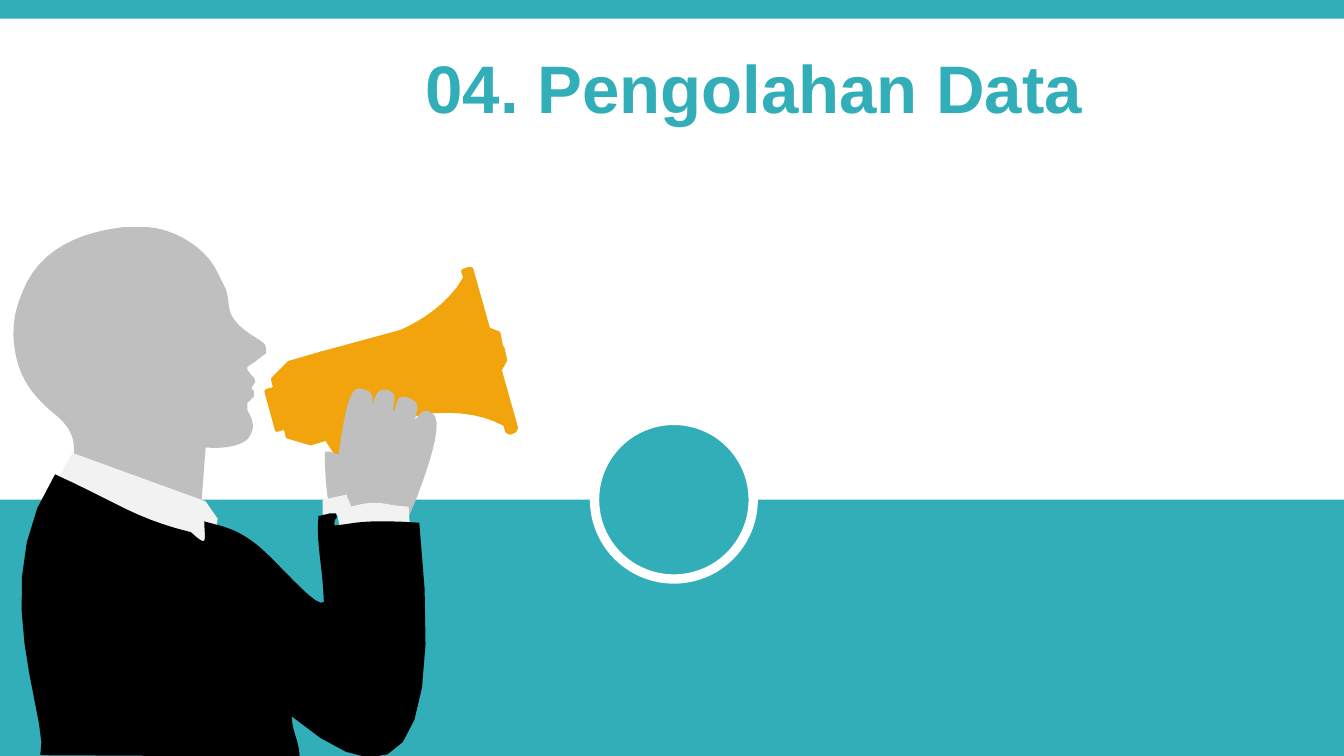
from pptx import Presentation
from pptx.dml.color import RGBColor
from pptx.enum import shapes, text
from pptx.util import Pt

TEAL = RGBColor(0x32, 0xAE, 0xB8)
WHITE = RGBColor(0xFF, 0xFF, 0xFF)
GOLD = RGBColor(0xF2, 0xA4, 0x0D)
SKIN = RGBColor(0xBF, 0xBF, 0xBF)
SHIRT = RGBColor(0xF2, 0xF2, 0xF2)
BLACK = RGBColor(0, 0, 0)

SLIDE_WIDTH, SLIDE_HEIGHT = Pt(720), Pt(405)
ART_HEIGHT = 562.5  # height of the drawing grid used by the outlines below
CURVE_STEPS = 10

# Outlines: the first point starts the path, L leads lines and C leads curves.
MEGAPHONE = [
    "293,348 L 290,349 C 289,350 287,350 286,349 L 278,336 C 277,335 278,333 279,333 "
    "L 282,331 C 283,330 284,330 285,332 L 293,344 C 294,345 294,347 293,348",
    "361,244 L 364,260 364,261 365,261 371,277 376,268 374,259 373,258 371,248",
    "303,378 L 289,387 C 287,389 283,388 281,385 L 236,316 C 234,313 235,309 238,308 "
    "L 252,299 C 254,297 258,298 260,300 L 305,370 C 307,373 306,376 303,378",
    "298,247 L 239,263 247,292 247,294 255,323 315,307 C 315,307 350,301 376,316 "
    "L 361,263 361,261 346,207 C 331,234 298,247 298,247",
    "382,321 L 380,322 C 379,322 377,321 377,320 L 345,203 C 344,202 345,201 346,201 "
    "L 349,200 C 350,200 351,200 351,201 L 384,318 C 384,319 383,321 382,321",
    "198,291 L 212,287 220,316 206,320",
    "215,270 L 203,282 208,304 209,304 214,325 231,330 255,323 247,294 247,293 239,263",
]
HAND = (
    "256,382 C 255,377 256,377 255,374 251,372 252,373 244,371 243,367 241,341 242,336 "
    "249,336 245,337 252,338 255,317 259,288 267,289 276,290 278,293 277,301 "
    "280,294 280,289 288,290 299,293 290,305 293,306 296,299 295,293 304,296 "
    "315,300 309,307 309,312 313,309 313,303 321,307 333,312 314,359 311,368 "
    "306,380 303,388 297,398 283,392 277,389 256,382"
)
HEAD = (
    "85,170 L 92,169 110,169 C 134,171 154,187 161,201 L 168,215 "
    "C 171,224 169,229 173,236 179,245 187,249 193,253 "
    "L 197,256 198,259 198,263 195,265 190,269 184,273 184,275 187,279 189,281 190,284 "
    "187,289 189,291 189,295 187,297 184,300 184,305 186,309 "
    "C 190,317 188,322 184,327 178,332 167,334 153,333 L 150,373 55,344 55,331 "
    "C 54,320 46,312 38,306 28,297 21,289 16,278 11,266 10,254 10,248 "
    "10,232 15,221 20,210 33,185 59,174 85,170"
)
COLLAR = "41,360 L 54,337 153,373 162,386 160,398 153,393 152,405 C 111,393 78,374 41,360"
CUFF = (
    "240,383 L 240,372 258,368 C 258,371 261,374 261,377 284,371 283,376 304,377 "
    "L 305,392 C 288,390 270,393 253,393 L 251,383"
)
JACKET = (
    "41,353 C -13,435 38,537 30,562 L 223,563 C 222,549 218,547 217,533 "
    "292,596 331,569 312,389 267,386 264,390 249,391 248,384 252,388 250,382 "
    "242,382 248,382 237,384 235,404 240,420 241,448 235,454 203,413 188,403 "
    "173,392 162,391 152,388 152,401 156,409 142,396 101,386 89,375 41,353"
)


def curve_points(start, first, second, end):
    """Points along a cubic curve, without its start."""
    for step in range(1, CURVE_STEPS + 1):
        t = step / CURVE_STEPS
        weights = ((1 - t) ** 3, 3 * t * (1 - t) ** 2, 3 * t * t * (1 - t), t ** 3)
        yield tuple(
            sum(weight * value for weight, value in zip(weights, values))
            for values in zip(start, first, second, end)
        )


def outline_points(outline):
    points, controls, command = [], [], "L"
    for token in outline.split():
        if token in ("L", "C"):
            command = token
            continue
        point = tuple(float(value) for value in token.split(","))
        if command == "L":
            points.append(point)
            continue
        controls.append(point)
        if len(controls) == 3:
            points.extend(curve_points(points[-1], *controls))
            controls = []
    return points


def style(shape, fill, line=None, line_width=0):
    shape.shadow.inherit = False
    shape.fill.solid()
    shape.fill.fore_color.rgb = fill
    if line is None:
        shape.line.fill.background()
    else:
        shape.line.color.rgb = line
        shape.line.width = Pt(line_width)


def add_outline(group, outline, left, top, unit, fill, line=None):
    points = [(left + x * unit, top + y * unit) for x, y in outline_points(outline)]
    builder = group.shapes.build_freeform(*points[0])
    builder.add_line_segments(points[1:], close=True)
    style(builder.convert_to_shape(), fill, line, 2)


def add_megaphone(slide, left, top, height):
    group = slide.shapes.add_group_shape()
    for outline in MEGAPHONE:
        add_outline(group, outline, left, top, height / ART_HEIGHT, GOLD, GOLD)


def add_speaker(slide, left, top, height):
    group = slide.shapes.add_group_shape()
    parts = [(HAND, SKIN), (HEAD, SKIN), (COLLAR, SHIRT), (CUFF, SHIRT), (JACKET, BLACK)]
    for outline, fill in parts:
        add_outline(group, outline, left, top, height / ART_HEIGHT, fill)


def add_band(slide, left, top, width, height):
    band = slide.shapes.add_shape(shapes.MSO_SHAPE.RECTANGLE, left, top, width, height)
    style(band, TEAL)


def add_lower_band(slide, left, top, width, height):
    """Teal band with a ringed disc centred on its upper edge."""
    add_band(slide, left, top, width, height)
    size = Pt(85)
    disc = slide.shapes.add_shape(
        shapes.MSO_SHAPE.OVAL, left + (width - size) // 2 + Pt(1), top - size // 2, size, size
    )
    style(disc, TEAL, WHITE, 5)


def set_title(slide, left, top, width, height):
    title = slide.shapes.title
    title.left, title.top, title.width, title.height = left, top, width, height
    frame = title.text_frame
    frame.word_wrap = True
    frame.vertical_anchor = text.MSO_ANCHOR.MIDDLE
    paragraph = frame.paragraphs[0]
    paragraph.alignment = text.PP_ALIGN.CENTER
    run = paragraph.add_run()
    run.text = "04. Pengolahan Data"
    run.font.name = "Arial"
    run.font.size = Pt(36)
    run.font.bold = True
    run.font.color.rgb = TEAL


def main():
    presentation = Presentation()
    presentation.slide_width, presentation.slide_height = SLIDE_WIDTH, SLIDE_HEIGHT
    slide = presentation.slides.add_slide(presentation.slide_layouts[5])
    add_lower_band(slide, Pt(0), Pt(267.7), SLIDE_WIDTH, Pt(137.3))
    add_megaphone(slide, Pt(0), Pt(0), SLIDE_HEIGHT)
    set_title(slide, Pt(88), Pt(24), Pt(632), Pt(45))
    add_speaker(slide, Pt(0), Pt(0), SLIDE_HEIGHT)
    add_band(slide, Pt(0), Pt(0), SLIDE_WIDTH, Pt(10))
    presentation.save("out.pptx")


if __name__ == "__main__":
    main()
